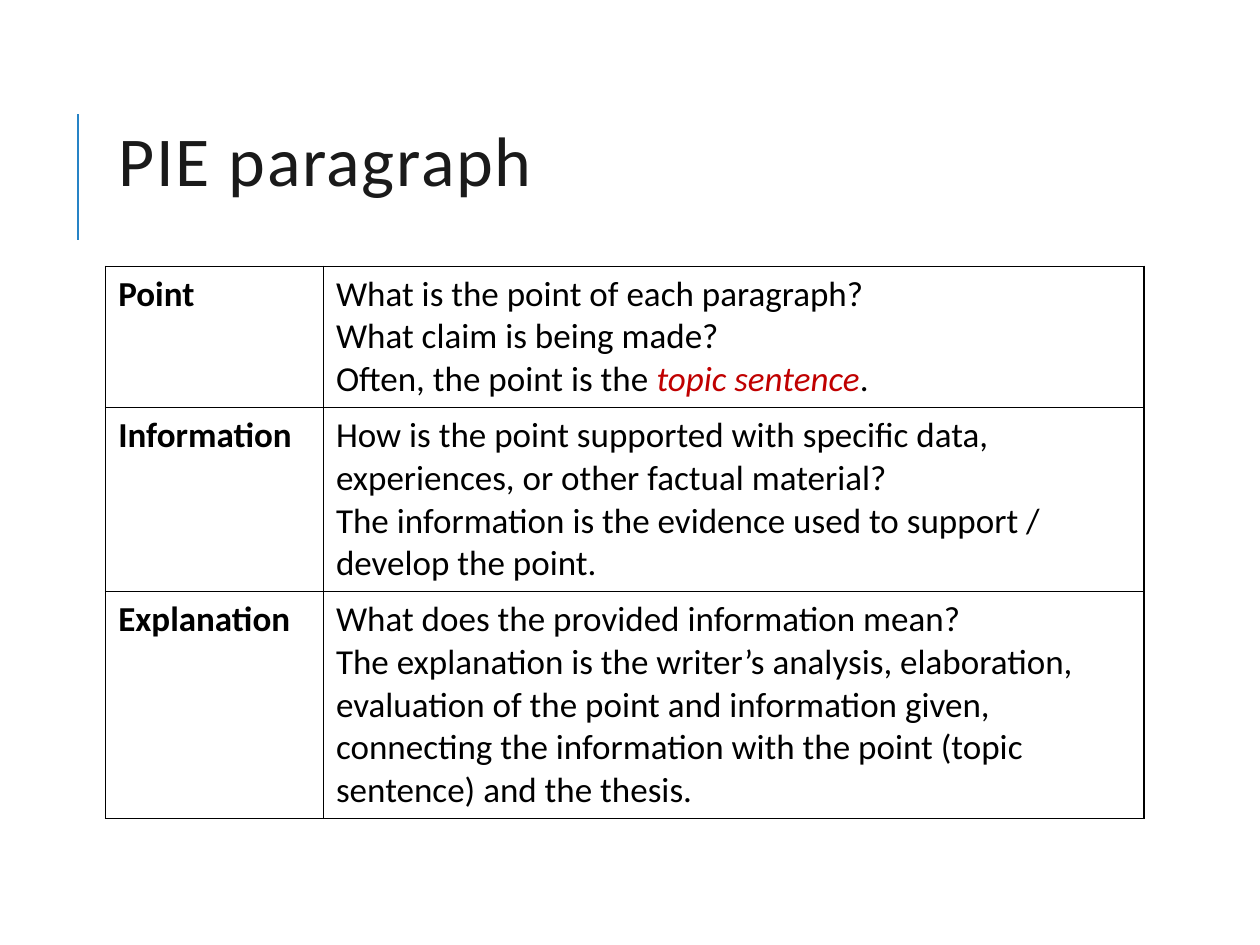
from lxml import etree
from pptx import Presentation
from pptx.dml.color import RGBColor
from pptx.enum.shapes import MSO_CONNECTOR
from pptx.enum.text import MSO_ANCHOR, MSO_AUTO_SIZE, PP_ALIGN
from pptx.oxml import parse_xml
from pptx.oxml.ns import nsdecls, qn
from pptx.util import Cm, Pt

LINE = MSO_CONNECTOR.STRAIGHT
MIDDLE = MSO_ANCHOR.MIDDLE
FIXED = MSO_AUTO_SIZE.NONE
LEFT = PP_ALIGN.LEFT

FONT = "Calibri"
BLACK, DARK, RED, BLUE = "000000", "1A1A1A", "C00000", "2683C6"

WIDTHS = (4.39, 16.54)
HEIGHTS = (2.84, 3.7, 4.57)
ROWS = [
    ("Point", [
        ["What is the point of each paragraph?"],
        ["What claim is being made?"],
        ["Often, the point is the ",
         ("topic sentence", {"color": RED, "italic": True}), "."],
    ]),
    ("Information", [
        ["How is the point supported with specific data, experiences, "
         "or other factual material?"],
        ["The information is the evidence used to support / "
         "develop the point."],
    ]),
    ("Explanation", [
        ["What does the provided information mean?"],
        ["The explanation is the writer’s analysis, elaboration, evaluation "
         "of the point and information given, connecting the information "
         "with the point (topic sentence) and the thesis."],
    ]),
]


def tint(code):
    """Return the colour for a hex string."""
    return RGBColor.from_string(code)


def write(para, text, size=20, color=BLACK, bold=False, italic=False, gap=0):
    """Add a formatted run to a paragraph; gap is letter spacing in points."""
    run = para.add_run()
    run.text = text
    font = run.font
    font.name, font.size = FONT, Pt(size)
    font.bold, font.italic = bold, italic
    font.color.rgb = tint(color)
    if gap:
        font._element.set("spc", str(int(gap * 100)))


def add_title(slide, text):
    """Place and fill the title placeholder."""
    title = slide.shapes.title
    title.left, title.top = Cm(2.13), Cm(1.63)
    title.width, title.height = Cm(20.24), Cm(3.45)
    frame = title.text_frame
    frame.auto_size, frame.vertical_anchor = FIXED, MIDDLE
    frame.word_wrap = True
    para = frame.paragraphs[0]
    para.alignment, para.line_spacing = LEFT, 0.8
    write(para, text, size=40, color=DARK, gap=1)


def add_rule(slide, left, top, end):
    """Draw the upright accent line beside the title."""
    rule = slide.shapes.add_connector(LINE, Cm(left), Cm(end), Cm(left), Cm(top))
    rule.line.color.rgb = tint(BLUE)
    rule.line.width = Pt(1.5)
    etree.SubElement(rule._element.spPr, qn("a:effectLst"))


def frame_cell(cell):
    """Give a cell black borders and no fill."""
    props = cell._tc.get_or_add_tcPr()
    for side in "LRTB":
        props.append(parse_xml(
            f'<a:ln{side} {nsdecls("a")} w="{Pt(1)}"><a:solidFill>'
            f'<a:srgbClr val="{BLACK}"/></a:solidFill></a:ln{side}>'))
    cell.fill.background()


def fill_cell(cell, paras, **style):
    """Write each list of text parts as one paragraph of a cell."""
    frame_cell(cell)
    frame = cell.text_frame
    for i, parts in enumerate(paras):
        para = frame.add_paragraph() if i else frame.paragraphs[0]
        for part in parts:
            text, extra = (part, {}) if isinstance(part, str) else part
            write(para, text, **{**style, **extra})


def add_grid(slide):
    """Add the table of paragraph parts."""
    grid = slide.shapes.add_table(
        len(ROWS), len(WIDTHS), Cm(2.13), Cm(5.37),
        Cm(sum(WIDTHS)), Cm(sum(HEIGHTS))).table
    grid.first_row = grid.horz_banding = False
    for col, width in zip(grid.columns, WIDTHS):
        col.width = Cm(width)
    for row, height, (head, paras) in zip(grid.rows, HEIGHTS, ROWS):
        row.height = Cm(height)
        fill_cell(row.cells[0], [[head]], bold=True)
        fill_cell(row.cells[1], paras)


def main():
    """Build and save the slide."""
    deck = Presentation()
    deck.slide_width, deck.slide_height = Cm(25.4), Cm(19.05)
    slide = deck.slides.add_slide(deck.slide_layouts[5])
    add_rule(slide, 1.57, 2.29, 4.83)
    add_title(slide, "PIE paragraph")
    add_grid(slide)
    deck.save("out.pptx")


if __name__ == "__main__":
    main()
